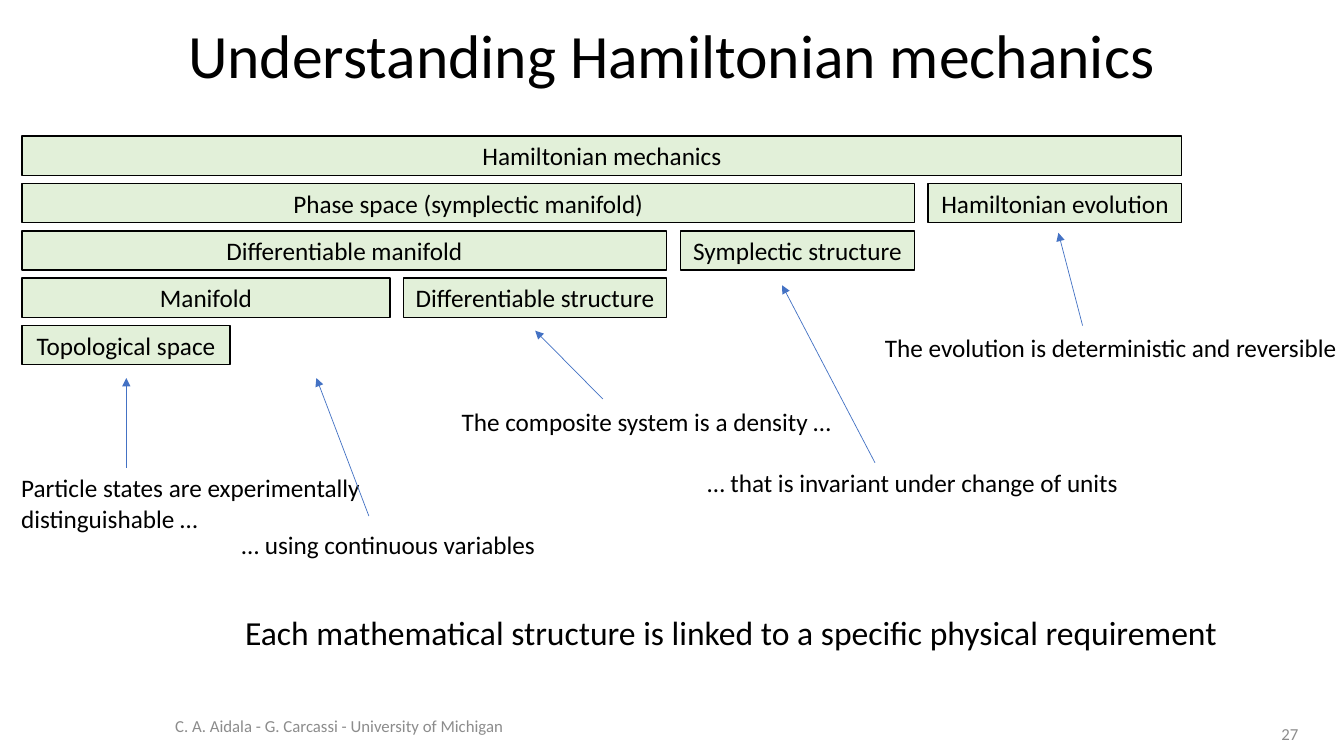
from pptx import Presentation
from pptx.dml.color import RGBColor
from pptx.enum.shapes import MSO_CONNECTOR, MSO_SHAPE
from pptx.enum.text import MSO_ANCHOR, MSO_AUTO_SIZE, PP_ALIGN
from pptx.oxml.ns import qn
from pptx.util import Pt
from lxml import etree

BLACK = RGBColor(0x00, 0x00, 0x00)
GRAY = RGBColor(0x8C, 0x8C, 0x8C)
GREEN = RGBColor(0xE2, 0xF0, 0xD9)
BLUE = RGBColor(0x44, 0x72, 0xC4)
LEFT, CENTER, RIGHT = PP_ALIGN.LEFT, PP_ALIGN.CENTER, PP_ALIGN.RIGHT
TOP, MIDDLE = MSO_ANCHOR.TOP, MSO_ANCHOR.MIDDLE
NO_AUTOFIT, FIT_SHAPE = MSO_AUTO_SIZE.NONE, MSO_AUTO_SIZE.SHAPE_TO_FIT_TEXT
RECTANGLE, STRAIGHT = MSO_SHAPE.RECTANGLE, MSO_CONNECTOR.STRAIGHT


def write_text(shape, text, size=18, color=BLACK, align=LEFT, anchor=TOP, wrap=False, fit=NO_AUTOFIT):
    frame = shape.text_frame
    frame.auto_size = fit
    frame.word_wrap = wrap
    frame.vertical_anchor = anchor
    paragraph = frame.paragraphs[0]
    paragraph.alignment = align
    for index, line in enumerate(text.splitlines()):
        if index:
            paragraph.add_line_break()
        run = paragraph.add_run()
        run.text = line
        run.font.name = "Calibri"
        run.font.size = Pt(size)
        run.font.color.rgb = color
    return paragraph


presentation = Presentation()
presentation.slide_width = Pt(960)
presentation.slide_height = Pt(540)
slide = presentation.slides.add_slide(presentation.slide_layouts[5])

title = slide.shapes.title
title.left, title.top, title.width, title.height = Pt(8), Pt(6.5), Pt(944), Pt(70.5)
title_paragraph = write_text(title, "Understanding Hamiltonian mechanics", size=44,
                             align=CENTER, anchor=MIDDLE, wrap=True)
title_paragraph.line_spacing = 0.9

# Each level splits into the next level and one added structure
STACK_LEFT, STACK_TOP, ROW_STEP, BOX_HEIGHT, GAP = 15.8, 97.2, 33.85, 28, 9.7
levels = [
    ("Hamiltonian mechanics", 844.2, None),
    ("Phase space (symplectic manifold)", 653.3, "Hamiltonian evolution"),
    ("Differentiable manifold", 476.2, "Symplectic structure"),
    ("Manifold", 278.5, "Differentiable structure"),
    ("Topological space", 164.2, None),
]
boxes = []
parent_right = None
for row, (name, right, structure) in enumerate(levels):
    boxes.append((name, row, STACK_LEFT, right))
    if structure:
        boxes.append((structure, row, right + GAP, parent_right))
    parent_right = right

for name, row, left, right in boxes:
    box = slide.shapes.add_shape(RECTANGLE, Pt(left), Pt(STACK_TOP + row * ROW_STEP),
                                 Pt(right - left), Pt(BOX_HEIGHT))
    box.shadow.inherit = False
    box.fill.solid()
    box.fill.fore_color.rgb = GREEN
    box.line.color.rgb = BLACK
    box.line.width = Pt(1)
    write_text(box, name, align=CENTER, anchor=MIDDLE, wrap=True)

requirements = [
    ("""Particle states are experimentally
distinguishable …""", 8, 334, 260.5, 51, 18),
    ("… using continuous variables", 165.6, 374.4, 227, 29, 18),
    ("The composite system is a density …", 322.6, 286.5, 286.5, 29, 18),
    ("… that is invariant under change of units", 498.2, 330.5, 311, 29, 18),
    ("The evolution is deterministic and reversible", 625, 234, 341.3, 29, 18),
    ("Each mathematical structure is linked to a specific physical requirement",
     168, 433.5, 736, 36, 24),
]
for text, left, top, width, height, size in requirements:
    textbox = slide.shapes.add_textbox(Pt(left), Pt(top), Pt(width), Pt(height))
    write_text(textbox, text, size=size, fit=FIT_SHAPE)

arrows = [
    (90.2, 334, 90.2, 270),
    (263.5, 368.6, 226, 270),
    (430.6, 285, 382.3, 236.2),
    (625, 330.5, 558.7, 203.8),
    (773.3, 232.6, 756, 166.3),
]
for start_x, start_y, end_x, end_y in arrows:
    arrow = slide.shapes.add_connector(STRAIGHT, Pt(start_x), Pt(start_y), Pt(end_x), Pt(end_y))
    arrow.line.color.rgb = BLUE
    arrow.line.width = Pt(0.5)
    line_element = arrow.line._get_or_add_ln()
    etree.SubElement(line_element, qn("a:tailEnd"), type="triangle")
    etree.SubElement(arrow._element.spPr, qn("a:effectLst"))

footer = slide.shapes.add_textbox(Pt(118), Pt(504), Pt(470), Pt(28.8))
write_text(footer, "C. A. Aidala - G. Carcassi - University of Michigan",
           size=12, color=GRAY, anchor=MIDDLE, wrap=True)
slide_number = slide.shapes.add_textbox(Pt(890.6), Pt(514.8), Pt(44), Pt(18))
write_text(slide_number, "27", size=12, color=GRAY, align=RIGHT, anchor=MIDDLE, wrap=True)

presentation.save("out.pptx")
